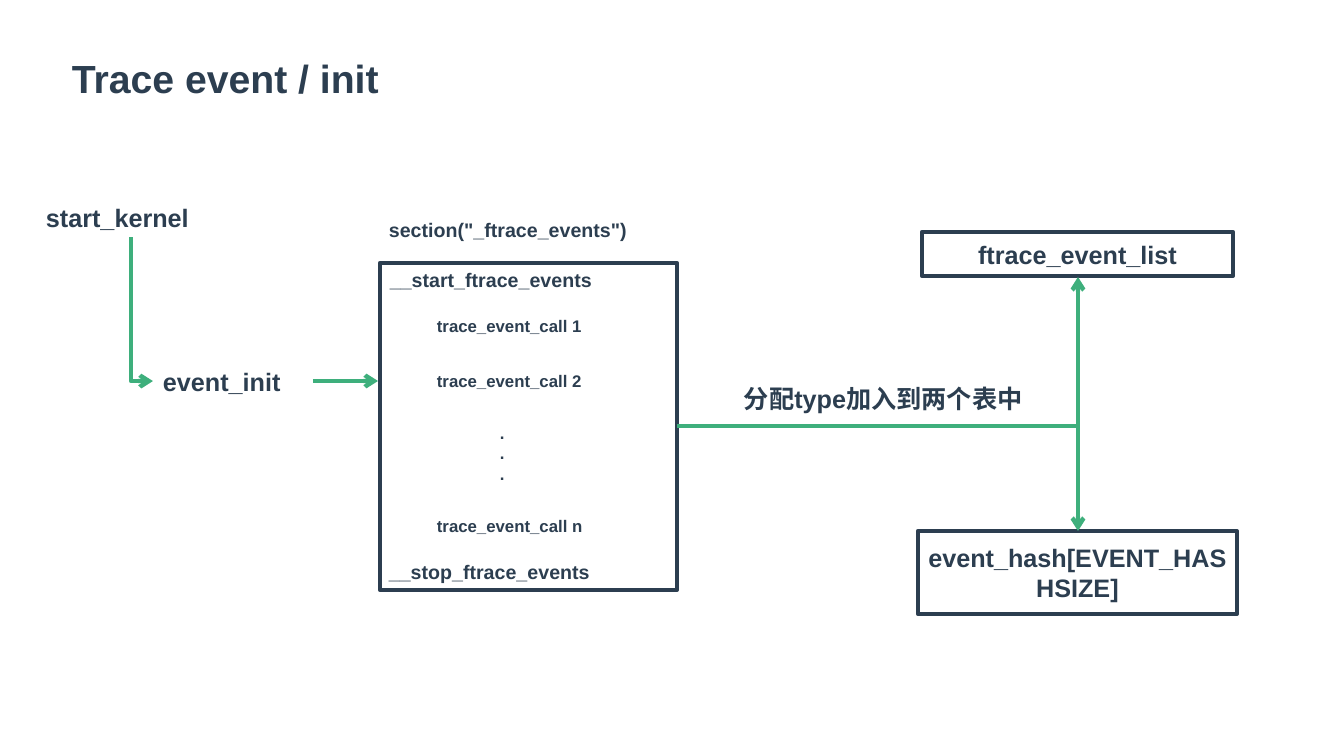
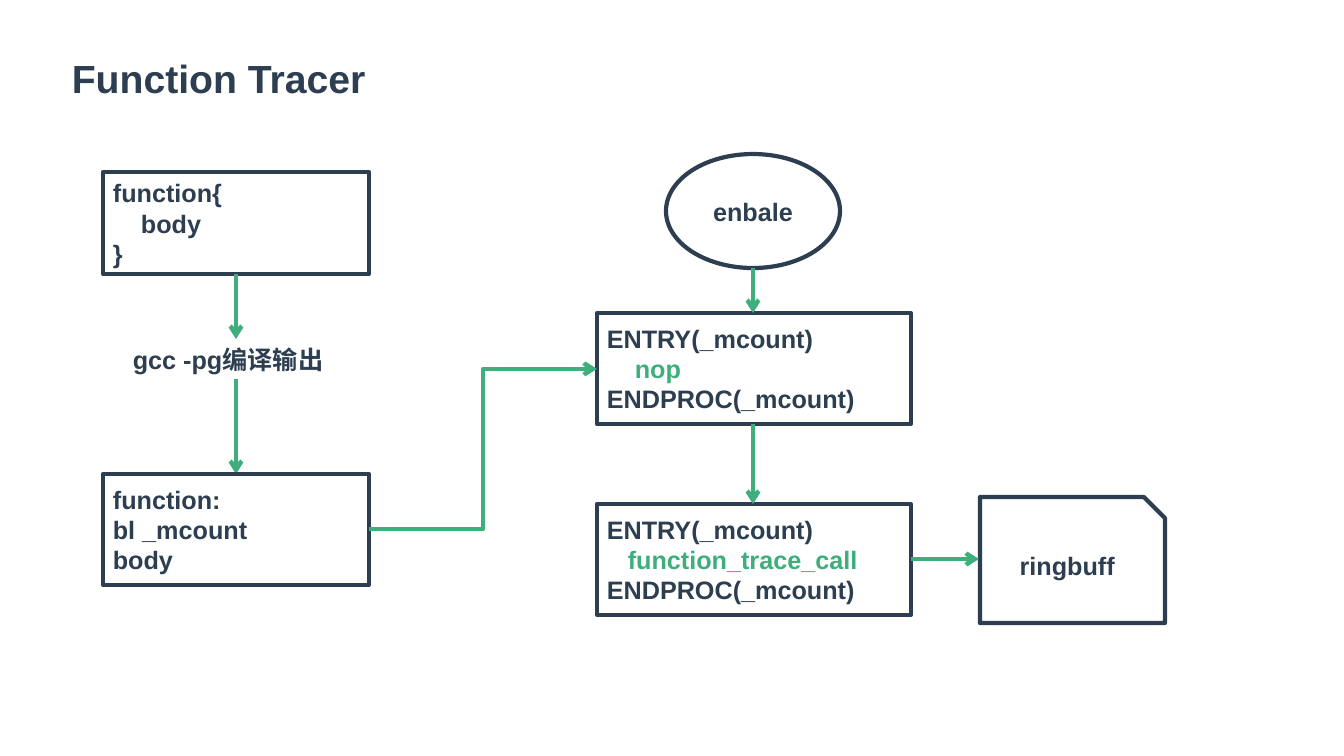
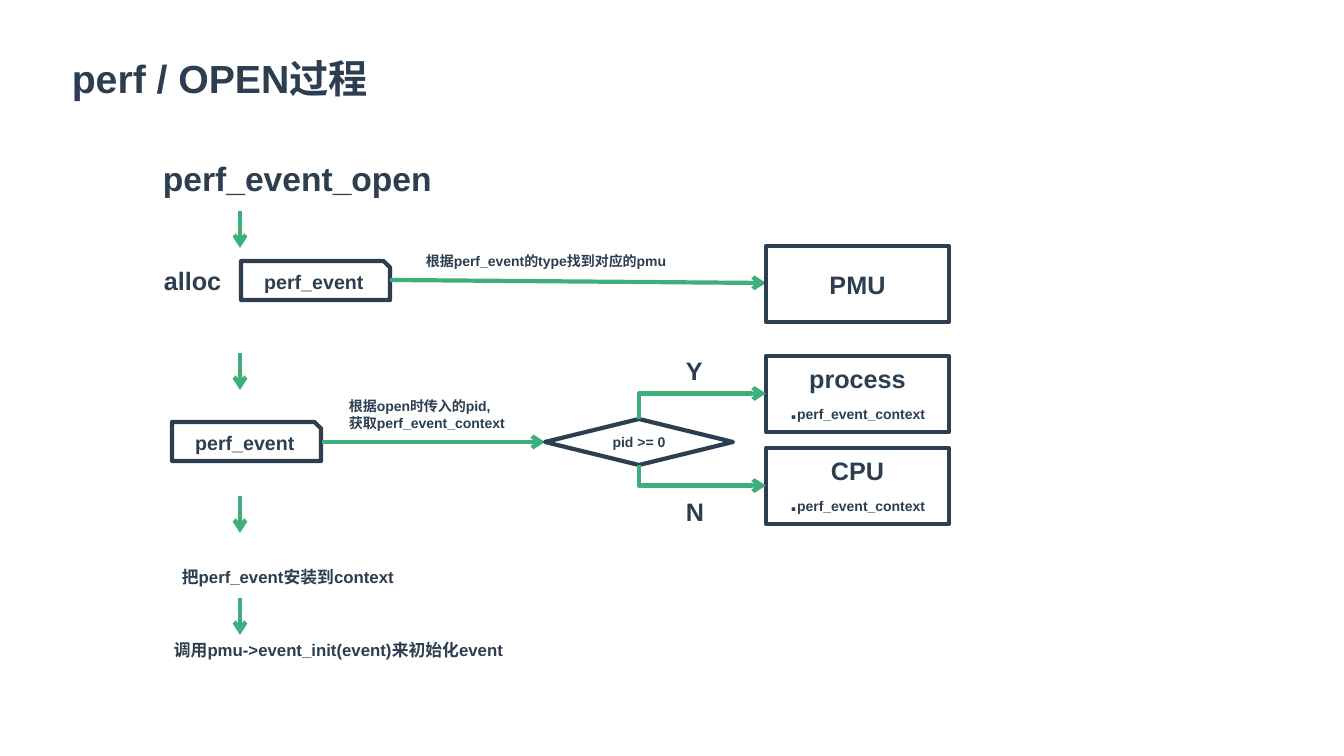
from dataclasses import dataclass

from lxml.etree import SubElement
from pptx import Presentation
from pptx.dml.color import RGBColor
from pptx.enum.shapes import MSO_CONNECTOR as CONN, MSO_SHAPE as SHAPE
from pptx.enum.text import MSO_ANCHOR as ANCHOR, MSO_AUTO_SIZE as AUTO, PP_ALIGN as ALIGN
from pptx.oxml.ns import qn
from pptx.util import Emu, Pt

PX = 914400 / 100.8
COLORS = {"ink": "2C3E50", "accent": "3EAF7C", "paper": "FFFFFF"}
FONT = {"name": "Arial", "bold": True}
LABEL = {"auto_size": AUTO.SHAPE_TO_FIT_TEXT, "word_wrap": False}
FRAME = {"vertical_anchor": ANCHOR.MIDDLE, "word_wrap": True}
LINE_WIDTH = Pt(3)


@dataclass
class Run:
    text: str
    size: int = 0
    color: str = "ink"
    indent: int = 0


def px(n):
    return Emu(round(n * PX))


def rgb(name):
    return RGBColor.from_string(COLORS[name])


def apply(target, values):
    for name, value in values.items():
        setattr(target, name, value)


def write(tf, lines, size, align):
    for i, line in enumerate(lines):
        p = tf.paragraphs[0] if i == 0 else tf.add_paragraph()
        p.alignment = align
        for part in line if isinstance(line, list) else [line]:
            run = Run(part) if isinstance(part, str) else part
            if run.indent:
                p._p.get_or_add_pPr().set("marL", str(px(run.indent)))
            r = p.add_run()
            r.text = run.text
            apply(r.font, {**FONT, "size": Pt(run.size or size)})
            r.font.color.rgb = rgb(run.color)


def label(s, box, *lines, size=18, wrap=False):
    tf = s.shapes.add_textbox(*map(px, box)).text_frame
    apply(tf, {**LABEL, "word_wrap": wrap})
    write(tf, lines, size, ALIGN.LEFT)


def frame(s, box, *lines, size=18, kind=SHAPE.RECTANGLE, align=ALIGN.CENTER):
    sp = s.shapes.add_shape(kind, *map(px, box))
    sp.shadow.inherit = False
    sp.fill.background()
    sp.line.color.rgb = rgb("ink")
    sp.line.width = LINE_WIDTH
    apply(sp.text_frame, FRAME)
    write(sp.text_frame, lines, size, align)


def arrow(s, start, end, kind=CONN.STRAIGHT):
    c = s.shapes.add_connector(kind, *map(px, (*start, *end)))
    c.line.color.rgb = rgb("accent")
    c.line.width = LINE_WIDTH
    SubElement(c.line._get_or_add_ln(), qn("a:tailEnd"), type="arrow")
    SubElement(c._element.spPr, qn("a:effectLst"))
    return c


def corner(s, start, end):
    c = arrow(s, start, end, CONN.ELBOW)
    c._element.spPr.find(qn("a:prstGeom")).set("prst", "bentConnector2")
    return c


def upright_corner(s, start, end):
    (x1, y1), (x2, y2) = start, end
    cx, cy = (x1 + x2) / 2, (y1 + y2) / 2
    half_w, half_h = abs(y2 - y1) / 2, (x2 - x1) / 2
    down = y2 > y1
    side = half_h if down else -half_h
    c = corner(s, (cx - half_w, cy + side), (cx + half_w, cy - side))
    c._element.spPr.find(qn("a:xfrm")).set("rot", str((90 if down else 270) * 60000))


def new_slide(prs, title, title_width):
    s = prs.slides.add_slide(prs.slide_layouts[6])
    s.background.fill.solid()
    s.background.fill.fore_color.rgb = rgb("paper")
    label(s, (62, 49, title_width, 57), title, size=28)
    return s


def boot_path(s, box):
    x, y, w, h = box
    label(s, (x, y, 191, 40), "start_kernel")
    label(s, (x + 117, y + 164, 160, 40), "event_init")
    upright_corner(s, (x + 95, y + 40), (x + 117, y + 184))
    arrow(s, (x + 277, y + 184), (x + w, y + 184))


def event_section(s, box):
    x, y, w, h = box
    label(s, (x - 1, y - 50, w + 1, 34), 'section("_ftrace_events")', size=14)
    frame(s, box)
    label(s, (x, y, 253, 34), "__start_ftrace_events", size=14)
    label(s, (x - 1, y + h - 35, 248, 34), "__stop_ftrace_events", size=14)
    for n, top in (("1", 48), ("2", 103), ("n", 248)):
        label(s, (x + 47, y + top, 191, 30), f"trace_event_call {n}", size=12)
    label(s, (x + 110, y + 155, 26, 72), *"...", size=12)


def event_tables(s, box):
    x, y, w, h = box
    mid, fork = x + w - 159, y + 194
    frame(s, (mid - 156, y, 311, 44), "ftrace_event_list")
    frame(s, (mid - 160, y + h - 83, 319, 83), "event_hash[EVENT_HASHSIZE]")
    for tip in (y + 45, y + h - 83):
        corner(s, (x, fork), (mid, tip))
    label(s, (x + 57, fork - 48, 311, 40), "分配type加入到两个表中")


def compile_column(s, box):
    x, y, w, h = box
    mid = x + w / 2
    frame(s, (x, y, w, 102), "function{", Run("body", indent=28), "}", align=ALIGN.LEFT)
    arrow(s, (mid, y + 102), (mid, y + 167))
    label(s, (x + 20, y + 167, 225, 40), "gcc -pg编译输出")
    arrow(s, (mid, y + 207), (mid, y + h - 111))
    frame(s, (x, y + h - 111, w, 111), "function:", "bl _mcount", "body", align=ALIGN.LEFT)


def mcount_column(s, box):
    x, y, w, h = box
    mid = x + w / 2 - 1
    frame(s, (mid - 87, y, 174, 114), "enbale", kind=SHAPE.OVAL)
    calls = (Run("nop", color="accent", indent=28), 159), \
            (Run("function_trace_call", color="accent", indent=21), h - 111)
    for call, top in calls:
        frame(s, (x, y + top, w, 111), "ENTRY(_mcount)", call, "ENDPROC(_mcount)",
              align=ALIGN.LEFT)
    arrow(s, (mid, y + 114), (mid, y + 159))
    arrow(s, (mid, y + 270), (mid, y + h - 111))


def event_steps(s, box):
    x, y, w, h = box
    label(s, (x, y, 334, 50), "perf_event_open", size=24)
    label(s, (x + 1, y + 107, 87, 40), "alloc")
    for left, top in ((88, 108), (19, 269)):
        frame(s, (x + left, y + top, 149, 39), "perf_event", size=14,
              kind=SHAPE.SNIP_1_RECTANGLE)
    for top in (58, 200, 343, 445):
        arrow(s, (x + 87, y + top), (x + 87, y + top + 37))
    label(s, (x + 19, y + 409, 261, 30), "把perf_event安装到context", size=12)
    label(s, (x + 11, y + h - 30, w - 11, 30), "调用pmu->event_init(event)来初始化event",
          size=12, wrap=True)


def pmu_lookup(s, box):
    x, y, w, h = box
    arrow(s, (x, y + 34), (x + w - 183, y + 37))
    label(s, (x + 26, y + 2, 287, 27), "根据perf_event的type找到对应的pmu", size=10)
    frame(s, (x + w - 183, y, 183, h), "PMU")


def context_choice(s, box):
    x, y, w, h = box
    targets, axis, mid = x + w - 183, y + 86, x + 317
    arrow(s, (x, axis), (x + 223, axis))
    label(s, (x + 17, y + 37, 200, 44), "根据open时传入的pid,", "获取perf_event_context", size=10)
    frame(s, (x + 223, axis - 23, 188, 46), "pid >= 0", size=10, kind=SHAPE.DIAMOND)
    branches = (("Y", "process", 0, -6, -23), ("N", "CPU", h - 76, h - 33, 23))
    for answer, owner, top, answer_top, edge in branches:
        frame(s, (targets, y + top, 183, 76), owner, [".", Run("perf_event_context", 10)])
        upright_corner(s, (mid, axis + edge), (targets, y + top + 37.5))
        label(s, (x + 354, y + answer_top, 40, 40), answer)


def build():
    prs = Presentation()
    prs.slide_width, prs.slide_height = px(1344), px(756)

    s = new_slide(prs, "Trace event / init", 392)
    boot_path(s, (36, 197, 342, 204))
    event_section(s, (380, 263, 297, 327))
    event_tables(s, (677, 232, 560, 382))

    s = new_slide(prs, "Function Tracer", 362)
    compile_column(s, (103, 172, 266, 413))
    mcount_column(s, (597, 154, 314, 461))
    arrow(s, (369, 529), (597, 369), CONN.ELBOW)
    frame(s, (980, 497, 185, 126), "ringbuff", kind=SHAPE.SNIP_1_RECTANGLE)
    arrow(s, (911, 559), (979, 559))

    s = new_slide(prs, "perf / OPEN过程", 354)
    event_steps(s, (153, 153, 617, 512))
    pmu_lookup(s, (390, 246, 559, 76))
    context_choice(s, (322, 356, 627, 168))

    prs.save("out.pptx")


build()
